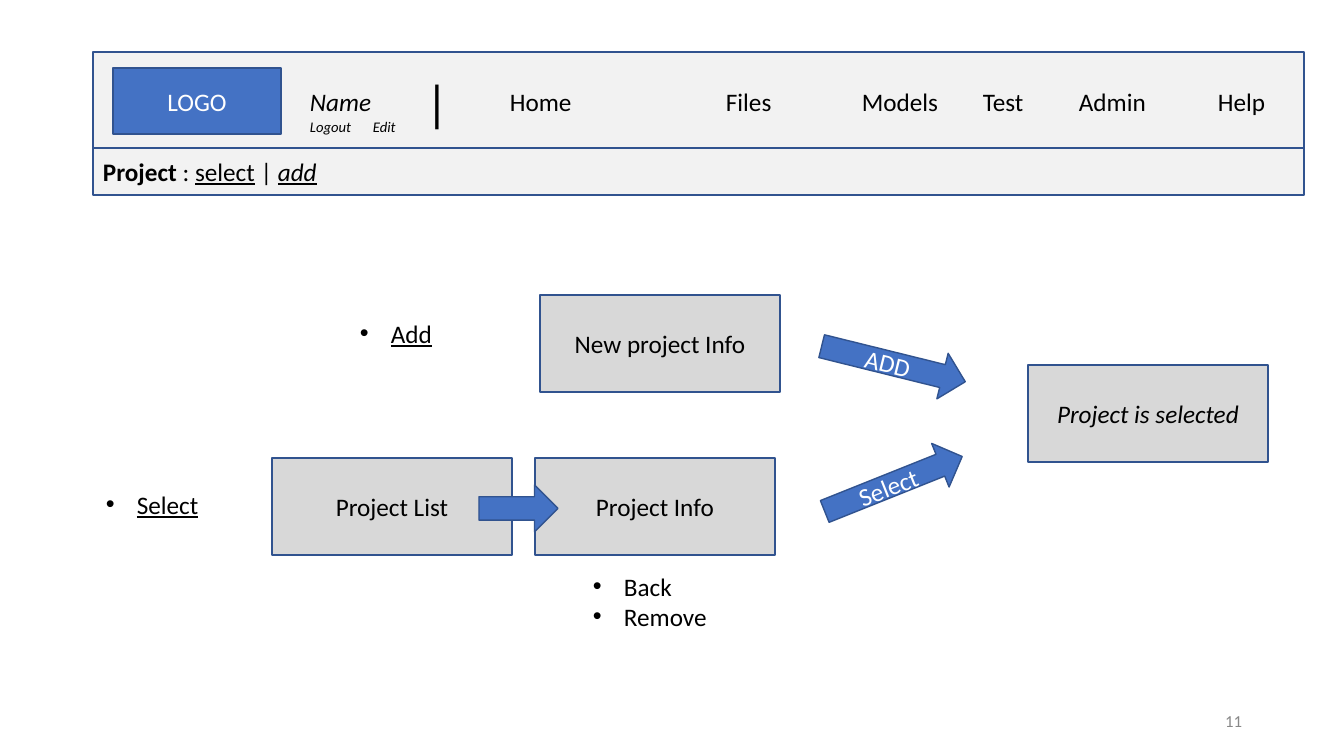
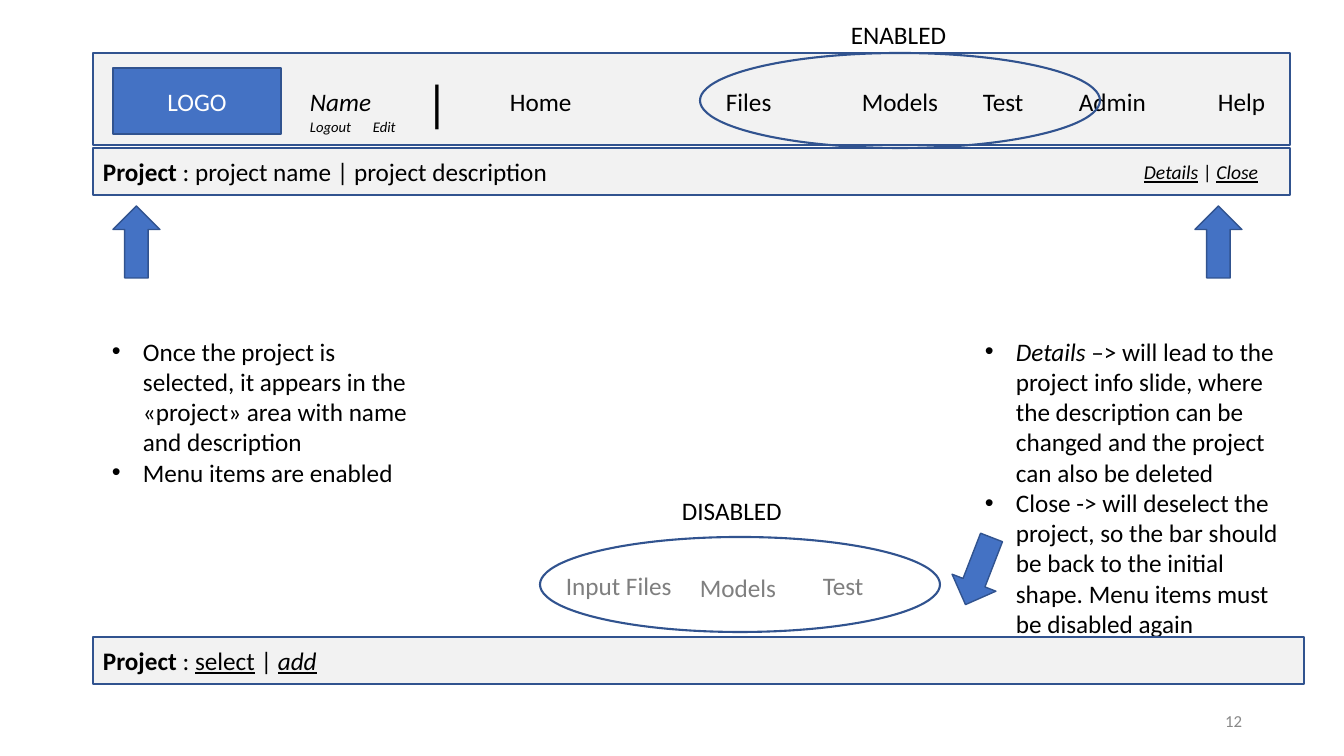
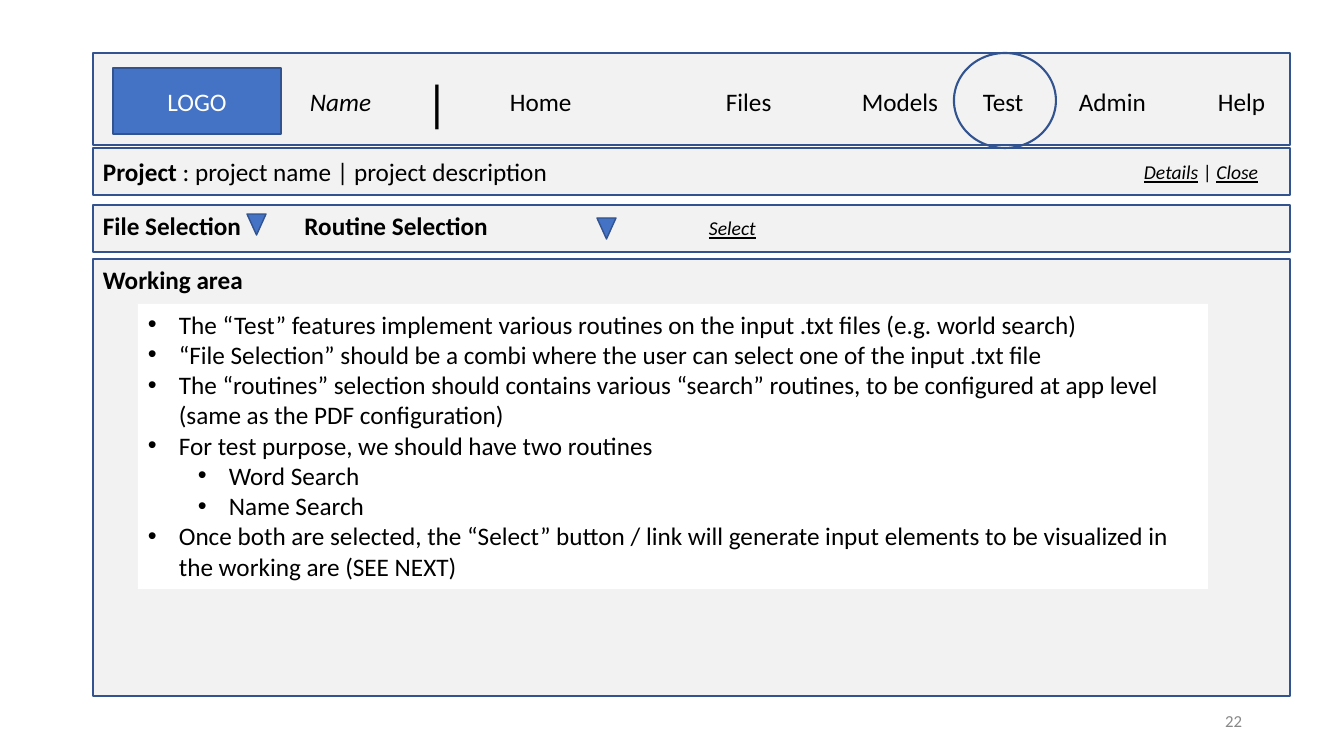
from lxml import etree
from pptx import Presentation, util as u
from pptx.dml.color import RGBColor
from pptx.enum import shapes, text
from pptx.oxml.ns import qn

SCALE = 914400 / 100.8  # EMU per pixel
COLORS = {"blue": "4472C4", "outline": "31538F", "panel": "F2F2F2", "box": "D8D8D8",
          "white": "FFFFFF", "black": "000000", "disabled": "7F7F7F", "number": "888888"}
FONT = "Calibri"
INDENT = 31
LEVEL_STEP = 50
PRESET = shapes.MSO_SHAPE
ALIGN = text.PP_ALIGN
ANCHOR = text.MSO_ANCHOR

# Formats shared by the slides
PANEL = {"preset": PRESET.RECTANGLE, "fill": "panel", "line": "outline"}
BOX = {**PANEL, "fill": "box", "align": ALIGN.CENTER}
LOGO = {**BOX, "fill": "blue", "color": "white"}
ARROW = {"preset": PRESET.UP_ARROW, "fill": "blue", "line": "outline"}
DROPDOWN = {**ARROW, "preset": PRESET.ISOSCELES_TRIANGLE, "rotation": 180}
RING = {"preset": PRESET.OVAL, "line": "outline", "line_width": 1.5}
BULLETS = {"bullets": True, "anchor": ANCHOR.TOP}
LINK = {"size": 14, "align": ALIGN.JUSTIFY}

# Rich lines: (text, style letters), with b bold, i italic, u underlined
NO_PROJECT = [("Project ", "b"), (": ", ""), ("select", "u"), (" ", "i"), ("| ", ""), ("add", "iu")]
OPEN_PROJECT = [("Project ", "b"), (": project name | project description", "")]
PROJECT_LINKS = [("Details", "iu"), (" ", "i"), ("| ", ""), ("Close", "iu")]

presentation = Presentation()
presentation.slide_width = u.Emu(round(1344 * SCALE))
presentation.slide_height = u.Emu(round(756 * SCALE))


def write_lines(shape, lines, size=18, color="black", align=ALIGN.LEFT,
                anchor=ANCHOR.MIDDLE, bullets=False):
    """Fill a shape; a line is a string, a list of runs, or (level, string)."""
    frame = shape.text_frame
    frame.word_wrap = True
    frame.vertical_anchor = anchor
    for index, line in enumerate(lines):
        paragraph = frame.paragraphs[0] if index == 0 else frame.add_paragraph()
        level, line = line if isinstance(line, tuple) else (0, line)
        paragraph.level = level
        paragraph.alignment = align
        if bullets:
            properties = paragraph._p.get_or_add_pPr()
            properties.set("marL", str(round((INDENT + level * LEVEL_STEP) * SCALE)))
            properties.set("indent", str(round(-INDENT * SCALE)))
            etree.SubElement(properties, qn("a:buFont")).set("typeface", "Arial")
            etree.SubElement(properties, qn("a:buChar")).set("char", "•")
        for words, style in [(line, "")] if isinstance(line, str) else line:
            run = paragraph.add_run()
            run.text = words
            values = {"name": FONT, "size": u.Pt(size), "bold": "b" in style,
                      "italic": "i" in style, "underline": "u" in style}
            for name, value in values.items():
                setattr(run.font, name, value)
            run.font.color.rgb = RGBColor.from_string(COLORS[color])


def add_item(slide, frame, lines=(), preset=None, fill=None, line=None, line_width=1,
             rotation=0, **text_format):
    """Add a preset shape, or a text box when no preset is given."""
    place = [u.Emu(round(value * SCALE)) for value in frame]
    if preset is None:
        shape = slide.shapes.add_textbox(*place)
    else:
        shape = slide.shapes.add_shape(preset, *place)
        shape.shadow.inherit = False
        for target, color in ((shape.fill, fill), (shape.line.fill, line)):
            if color:
                target.solid()
                target.fore_color.rgb = RGBColor.from_string(COLORS[color])
            else:
                target.background()
        if line:
            shape.line.width = u.Pt(line_width)
    shape.rotation = rotation
    write_lines(shape, lines, **text_format)


# Header, project bar and page number of every slide
MENU = [("Home", 500, 96), ("Files", 716, 141), ("Models", 852, 141),
        ("Test", 973, 102), ("Admin", 1069, 95), ("Help", 1208, 71)]
PAGES = [  # number, header top, header height, width, project open, account links
    ("11", 52, 97, 1211, False, True),
    ("12", 53, 92, 1197, True, True),
    ("22", 53, 92, 1197, True, False),
]
slides = []
for number, top, height, width, is_open, has_account in PAGES:
    slide = presentation.slides.add_slide(presentation.slide_layouts[6])
    slides.append(slide)
    add_item(slide, (93, top, width, height), **PANEL)
    add_item(slide, (93, 148, width, 47), [OPEN_PROJECT if is_open else NO_PROJECT], **PANEL)
    add_item(slide, (113, 68, 168, 66), ["LOGO"], **LOGO)
    add_item(slide, (300, 68, 84, 66), [[("Name", "i")]])
    add_item(slide, (404, 68, 66, 66), ["|"], size=36, align=ALIGN.CENTER)
    for label, left, label_width in MENU:
        add_item(slide, (left, 68, label_width, 66), [label])
    if has_account:
        for label, left in (("Logout", 300), ("Edit", 363)):
            add_item(slide, (left, 94, 84, 66), [[(label, "i")]], size=10.5)
    if is_open:
        add_item(slide, (1134, 139, 144, 66), [PROJECT_LINKS], **LINK)
    add_item(slide, (950, 701, 302, 40), [number], size=12, color="number", align=ALIGN.RIGHT)

choose_slide, opened_slide, test_slide = slides

# Choosing a project: steps, arrows and their labels
STEPS = [("New project Info", "", 540, 295), ("Project List", "", 272, 458),
         ("Project Info", "", 535, 458), ("Project is selected", "i", 1028, 365)]
for label, style, left, top in STEPS:
    add_item(choose_slide, (left, top, 240, 97), [[(label, style)]], **BOX)
for left, top, length, rotation in ((870, 290, 148, 103.9), (870, 410, 148, 68.2),
                                    (495, 469, 79, 90)):
    add_item(choose_slide, (left, top, 47, length), rotation=rotation, **ARROW)
for label, top, rotation in (("ADD", 351, 13.9), ("Select", 475, 338.2)):
    add_item(choose_slide, (820, top, 136, 24), [label], rotation=rotation,
             color="white", align=ALIGN.CENTER)
for label, left, top in (("Add", 350, 313), ("Select", 96, 484)):
    add_item(choose_slide, (left, top, 240, 66), [[(label, "u")]], **BULLETS)
add_item(choose_slide, (583, 566, 136, 72), ["Back", "Remove"], **BULLETS)

# Project opened: explanations of the bar
add_item(opened_slide, (102, 331, 326, 163), [
    "Once the project is selected, it appears in the «project» area with name and description",
    "Menu items are enabled"], **BULLETS)
add_item(opened_slide, (975, 331, 326, 346), [
    [("Details ", "i"), ("–> will lead to the project info slide, where the description "
                         "can be changed and the project can also be deleted", "")],
    "Close -> will deselect the project, so the bar should be back to the initial shape. "
    "Menu items must be disabled again"], **BULLETS)
add_item(opened_slide, (93, 637, 1211, 47), [NO_PROJECT], **PANEL)
for left, top, rotation in ((113, 206, 0), (1195, 206, 0), (955, 535, 201.2)):
    add_item(opened_slide, (left, top, 47, 72), rotation=rotation, **ARROW)

# Project opened: enabled and disabled menu items
for left, top in ((700, 53), (540, 537)):
    add_item(opened_slide, (left, top, 400, 95), **RING)
for label, left, top, width in (("ENABLED", 841, 14, 117), ("DISABLED", 672, 490, 121)):
    add_item(opened_slide, (left, top, width, 40), [label], anchor=ANCHOR.TOP)
for label, left, top, width in (("Input Files", 556, 552, 141), ("Models", 690, 554, 141),
                                ("Test", 813, 552, 102)):
    add_item(opened_slide, (left, top, width, 66), [label], color="disabled")

# Test page: selection bar and working area
for label, top, height in (("File Selection\t\tRoutine Selection", 205, 47),
                           ("Working area", 259, 437)):
    add_item(test_slide, (93, top, 1197, height), [[(label, "b")]], anchor=ANCHOR.TOP, **PANEL)
for left, top in ((247, 214), (597, 218)):
    add_item(test_slide, (left, top, 19, 21), **DROPDOWN)
add_item(test_slide, (699, 195, 144, 66), [[("Select", "iu")]], **LINK)
add_item(test_slide, (954, 53, 102, 95), **RING)
add_item(test_slide, (138, 304, 1070, 285), [
    "The “Test” features implement various routines on the input .txt files (e.g. world search)",
    "“File Selection” should be a combi where the user can select one of the input .txt file",
    "The “routines” selection should contains various “search” routines, to be configured "
    "at app level (same as the PDF configuration)",
    "For test purpose, we should have two routines",
    (1, "Word Search"),
    (1, "Name Search"),
    "Once both are selected, the “Select” button / link will generate input elements "
    "to be visualized in the working are (SEE NEXT)",
], preset=PRESET.RECTANGLE, fill="white", **BULLETS)

presentation.save("out.pptx")
